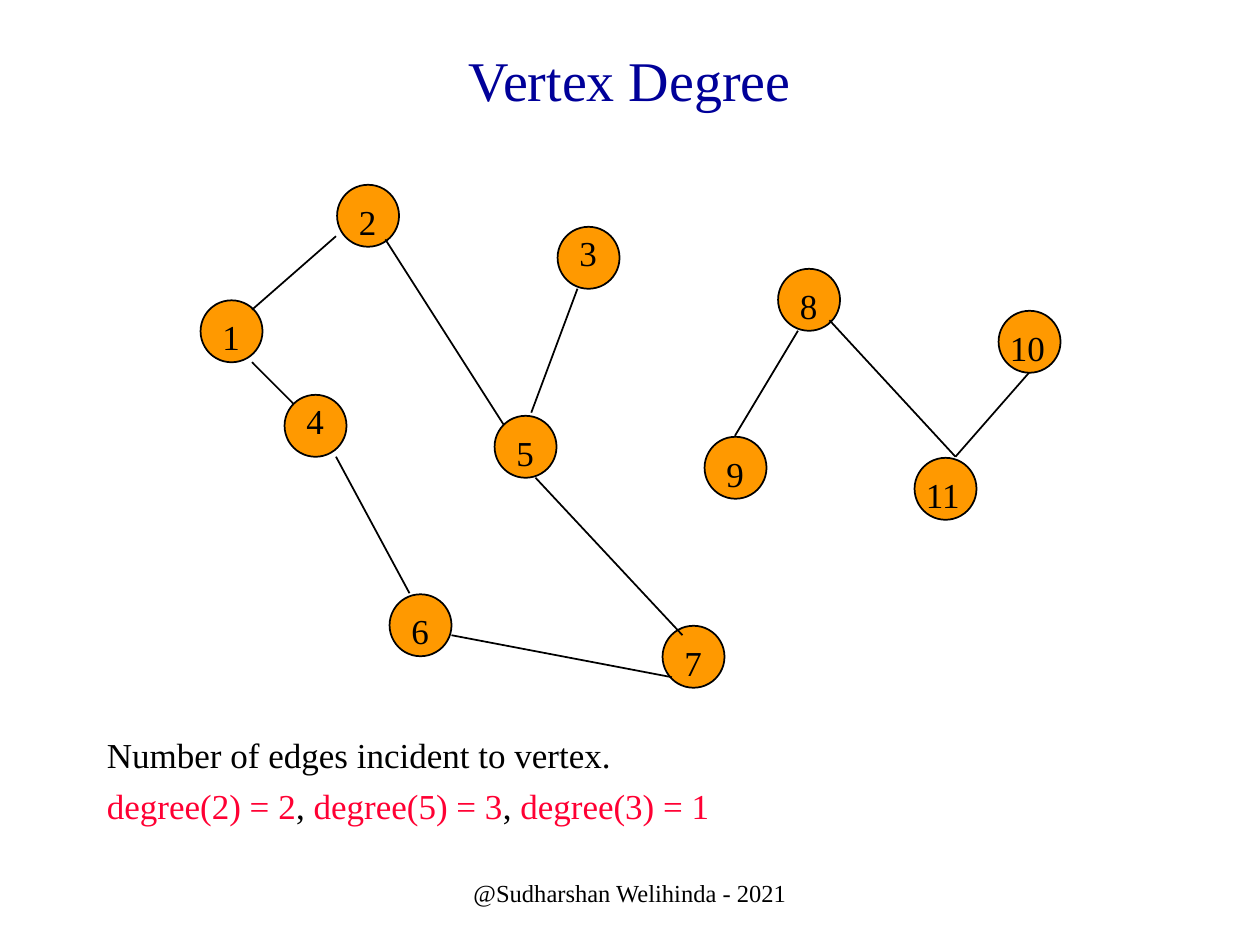
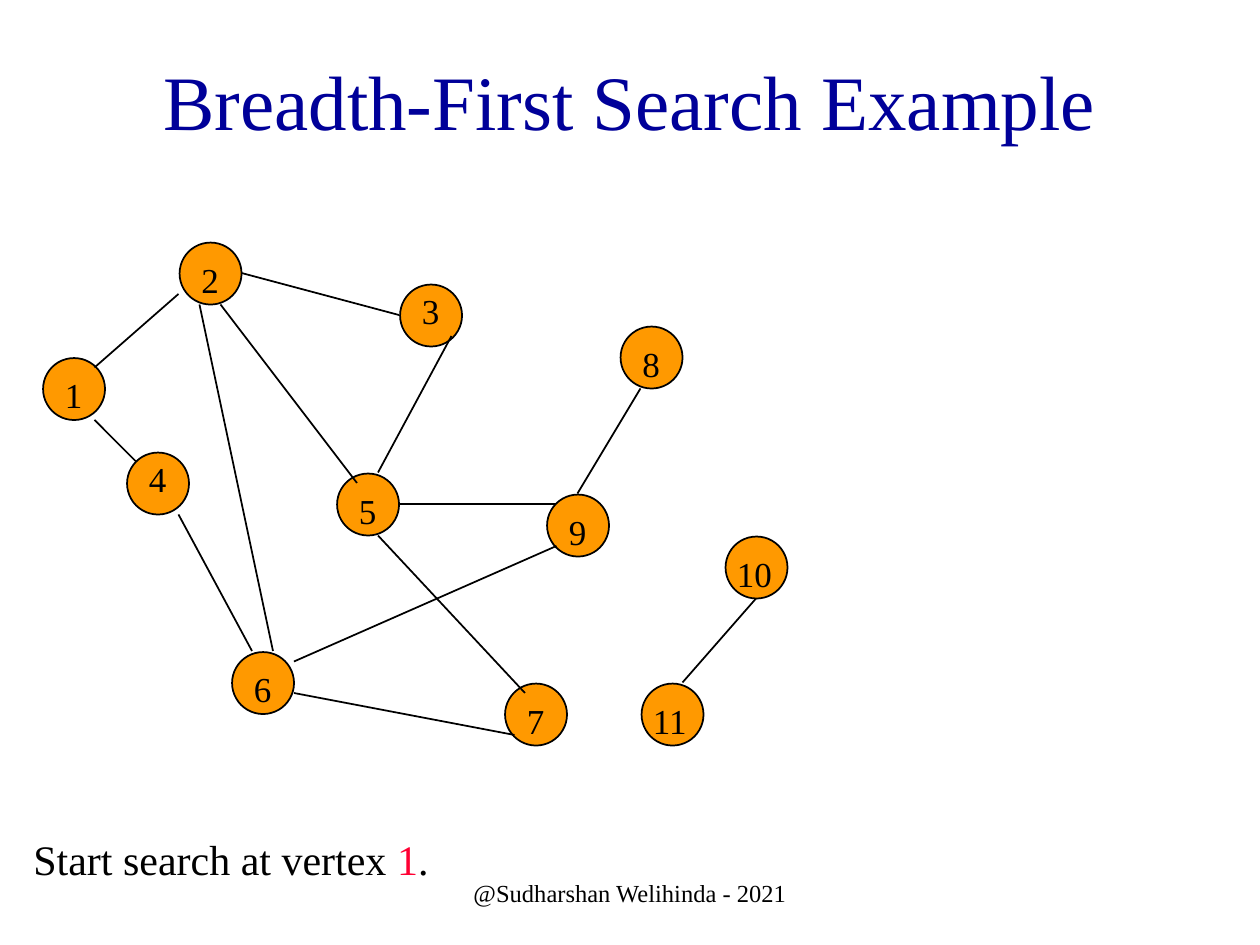
from lxml.etree import SubElement
from pptx import Presentation
from pptx.dml.color import RGBColor as Rgb
from pptx.enum.shapes import MSO_CONNECTOR as Connector, MSO_SHAPE as Shape
from pptx.enum.text import MSO_ANCHOR as Anchor, PP_ALIGN as Align
from pptx.oxml.ns import qn
from pptx.util import Inches, Pt

COLORS = {"title": "000099", "ink": "000000", "accent": "FF0033",
          "vertex": "FF9900", "paper": "FFFFFF"}
FONT = "Times New Roman"
COLUMNS, ROWS = 120, 90          # grid of a 10 x 7.5 inch slide
VERTEX_SIZE, VERTEX_INSET = 5.9, 0.1
HIGH_LABELS = (3, 4)             # labels set one row higher than the others

# Vertices and edges found in both graphs, in grid units
SHARED_VERTICES = {1: (4, 34), 2: (17, 23), 3: (38, 27), 4: (12, 43),
                   5: (32, 45), 6: (22, 62), 7: (48, 65), 8: (59, 31),
                   9: (52, 47)}
SHARED_EDGES = {(1, 2): (9, 35, 17, 28), (1, 4): (9, 40, 13, 44),
                (4, 6): (17, 49, 24, 62), (6, 7): (28, 66, 49, 70),
                (5, 7): (36, 51, 50, 66), (8, 9): (61, 37, 55, 47)}


def rgb(name):
    return Rgb.from_string(COLORS[name])


class Deck:
    def __init__(self):
        self.prs = Presentation()
        self.prs.slide_width, self.prs.slide_height = Inches(10), Inches(7.5)
        self.slide = None

    def x(self, column):
        return round(self.prs.slide_width * column / COLUMNS)

    def y(self, row):
        return round(self.prs.slide_height * row / ROWS)

    def new_slide(self, title, size, top):
        self.slide = self.prs.slides.add_slide(self.prs.slide_layouts[6])
        fill = self.slide.background.fill
        fill.solid()
        fill.fore_color.rgb = rgb("paper")
        self.text(title, 9, top, 102, 15, size=size, color="title",
                  align=Align.CENTER, anchor=Anchor.MIDDLE)

    def footer(self):
        self.text("@Sudharshan Welihinda - 2021", 41, 82, 38, 6, size=14,
                  align=Align.CENTER, anchor=Anchor.MIDDLE)

    def text(self, content, left, top, width, height, *, size=20, color="ink",
             align=Align.LEFT, anchor=Anchor.TOP, gap=0):
        """Content is a string, or a list of paragraphs of (text, color) runs."""
        box = self.slide.shapes.add_textbox(
            self.x(left), self.y(top), self.x(width), self.y(height))
        frame = box.text_frame
        frame.word_wrap, frame.vertical_anchor = True, anchor
        paragraphs = [[(content, color)]] if isinstance(content, str) else content
        for index, runs in enumerate(paragraphs):
            paragraph = frame.add_paragraph() if index else frame.paragraphs[0]
            paragraph.alignment = align
            if index:
                paragraph.space_before = Pt(gap)
            for words, run_color in runs:
                run = paragraph.add_run()
                run.text = words
                run.font.name, run.font.size = FONT, Pt(size)
                run.font.color.rgb = rgb(run_color)

    def outline(self, line):
        line.color.rgb = rgb("ink")
        line.width = Pt(1)

    def vertex(self, column, row):
        circle = self.slide.shapes.add_shape(
            Shape.OVAL, self.x(column + VERTEX_INSET), self.y(row + VERTEX_INSET),
            self.x(VERTEX_SIZE), self.y(VERTEX_SIZE))
        circle.shadow.inherit = False
        circle.fill.solid()
        circle.fill.fore_color.rgb = rgb("vertex")
        self.outline(circle.line)

    def vertex_label(self, number, column, row):
        indent, width = (1, 3) if number < 10 else (0, 6)
        drop = 0 if number in HIGH_LABELS else 1
        self.text(str(number), column + indent, row + drop, width, 5.2)

    def edge(self, x1, y1, x2, y2):
        line = self.slide.shapes.add_connector(
            Connector.STRAIGHT, self.x(x1), self.y(y1), self.x(x2), self.y(y2))
        self.outline(line.line)
        SubElement(line.element.spPr, qn("a:effectLst"))

    def graph(self, vertices, edges, shift=(0, 0)):
        dx, dy = shift
        placed = {number: (column + dx, row + dy) for number, (column, row)
                  in (SHARED_VERTICES | vertices).items()}
        for column, row in placed.values():
            self.vertex(column, row)
        for x1, y1, x2, y2 in (SHARED_EDGES | edges).values():
            self.edge(x1 + dx, y1 + dy, x2 + dx, y2 + dy)
        for number, (column, row) in placed.items():
            self.vertex_label(number, column, row)


def main():
    deck = Deck()

    # Vertex degree
    deck.new_slide("Vertex Degree", size=32, top=0)
    deck.text([[("Number of edges incident to vertex.", "ink")],
               [("degree(2) = 2", "accent"), (", ", "ink"),
                ("degree(5) = 3", "accent"), (", ", "ink"),
                ("degree(3) = 1", "accent")]],
              9, 69.25, 102, 12.4, gap=5)
    deck.graph(
        vertices={10: (80, 35), 11: (72, 49)},
        edges={(2, 5): (21.7, 28.3, 33, 46), (3, 5): (40, 33, 35.6, 44.8),
               (8, 11): (64, 36, 76, 49), (10, 11): (83, 41, 76, 49)},
        shift=(15, -5.5))
    deck.footer()

    # Breadth-first search
    deck.new_slide("Breadth-First Search Example", size=44, top=2)
    deck.text([[("Start search at vertex ", "ink"), ("1", "accent"), (".", "ink")]],
              2, 78.75, 102, 9.4, size=24)
    deck.graph(
        vertices={10: (69, 51), 11: (61, 65)},
        edges={(2, 5): (21, 29, 34, 46), (3, 5): (43, 32, 36, 45),
               (10, 11): (72, 57, 65, 65), (5, 9): (38, 48, 53, 48),
               (2, 3): (23, 26, 38, 30), (2, 6): (19, 29, 26, 62),
               (6, 9): (28, 63, 53, 52)})
    deck.footer()

    deck.prs.save("out.pptx")


if __name__ == "__main__":
    main()
